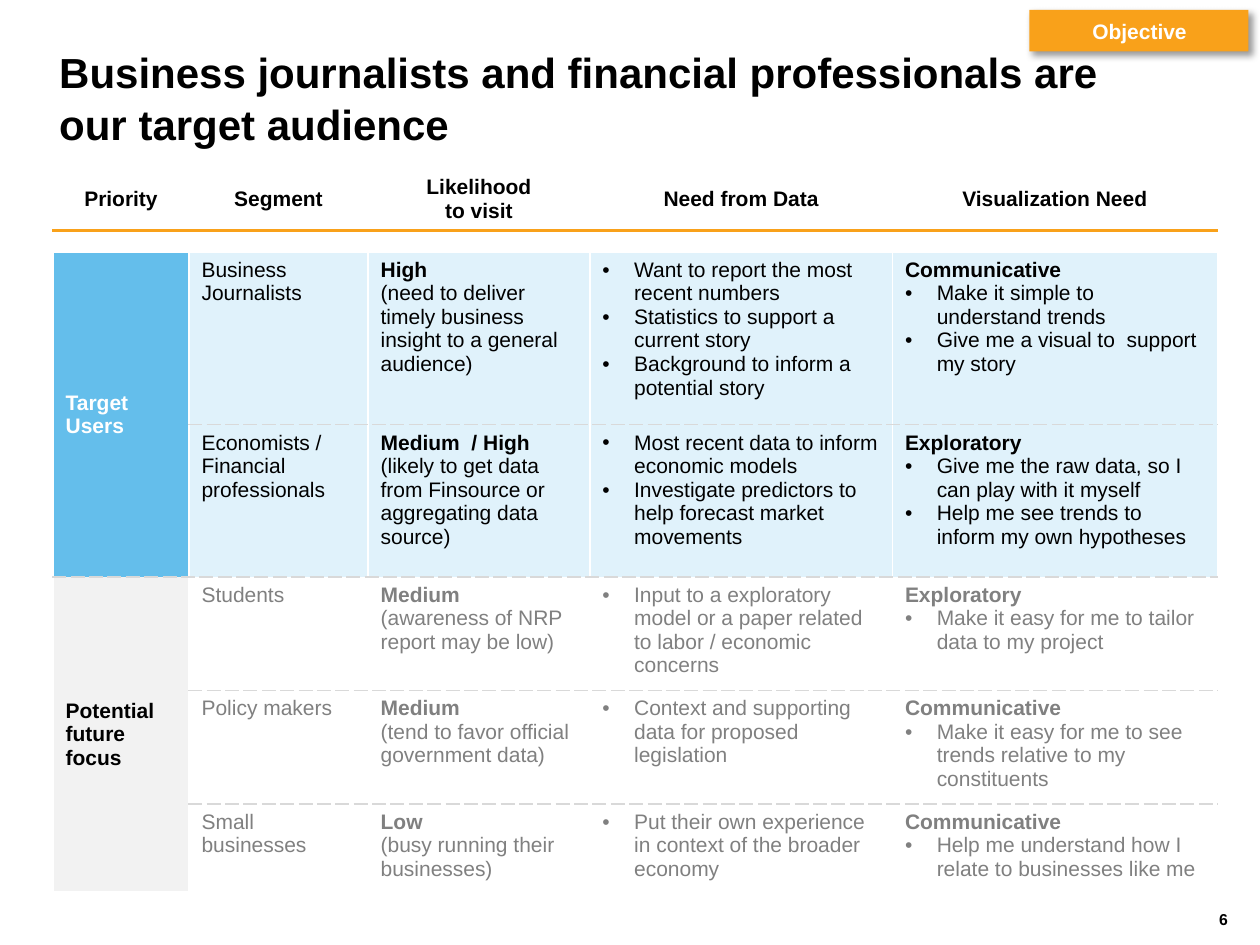
from lxml import etree
from pptx import Presentation
from pptx.dml.color import RGBColor
from pptx.enum.shapes import MSO_SHAPE
from pptx.enum.text import MSO_ANCHOR, PP_ALIGN
from pptx.oxml.ns import qn
from pptx.util import Cm, Pt

RECTANGLE = MSO_SHAPE.RECTANGLE
TOP, MIDDLE = MSO_ANCHOR.TOP, MSO_ANCHOR.MIDDLE
LEFT, CENTER = PP_ALIGN.LEFT, PP_ALIGN.CENTER

BLACK, WHITE, GRAY, ORANGE = "000000", "FFFFFF", "808080", "F9A11A"
BLUE, PALE_BLUE, PALE_GRAY = "64BEEB", "E0F2FB", "F2F2F2"
WHITE_RULE = (WHITE, 1, "solid")
ORANGE_RULE = (ORANGE, 2.25, "solid")
DASHED_RULE = ("D9D9D9", 1, "dash")
ROW_RULES = [WHITE_RULE, ORANGE_RULE, WHITE_RULE] + [DASHED_RULE] * 4 + [WHITE_RULE]

COLUMN_WIDTHS = [2.74, 3.61, 4.47, 6.1, 6.55]
ROW_HEIGHTS = [1.22, 0.43, 3.48, 3.07, 2.17, 2.15, 1.65]
FIRST_SEGMENT_ROW, TARGET_ROWS = 2, 2
HEADED_COLUMNS = (2, 4)

HEADINGS = [["Priority"], ["Segment"], ["Likelihood", "to visit"],
            ["Need from Data"], ["Visualization Need"]]
SEGMENTS = [
    [["Business Journalists"],
     ["High", "(need to deliver timely business insight to a general audience)"],
     ["•Want to report the most recent numbers",
      "•Statistics to support a current story",
      "•Background to inform a potential story"],
     ["Communicative", "•Make it simple to understand trends",
      "•Give me a visual to  support my story"]],
    [["Economists / Financial professionals"],
     ["Medium  / High", "(likely to get data from Finsource or aggregating data source)"],
     ["•Most recent data to inform economic models",
      "•Investigate predictors to help forecast market movements"],
     ["Exploratory", "•Give me the raw data, so I can play with it myself",
      "•Help me see trends to inform my own hypotheses"]],
    [["Students"],
     ["Medium", "(awareness of NRP report may be low)"],
     ["•Input to a exploratory model or a paper related to labor / economic concerns"],
     ["Exploratory", "•Make it easy for me to tailor data to my project"]],
    [["Policy makers"],
     ["Medium", "(tend to favor official government data)"],
     ["•Context and supporting data for proposed legislation"],
     ["Communicative", "•Make it easy for me to see trends relative to my constituents"]],
    [["Small businesses"],
     ["Low", "(busy running their businesses)"],
     ["•Put their own experience in context of the broader economy"],
     ["Communicative", "•Help me understand how I relate to businesses like me"]],
]


def rgb(value):
    """Turn a hex string into a colour."""
    return RGBColor.from_string(value)


def add_node(parent, tag, **attributes):
    """Append an XML child with the given attributes."""
    node = etree.SubElement(parent, qn(tag))
    for name, value in attributes.items():
        node.set(name, str(value))
    return node


def write_text(para, text, size=12, color=BLACK, bold=False, align=LEFT):
    """Write one formatted span into a paragraph."""
    para.alignment = align
    span = para.add_run()
    span.text = text
    span.font.name = "Arial"
    span.font.size = Pt(size)
    span.font.bold = bold
    span.font.color.rgb = rgb(color)


def set_indent(para, left, first=0):
    """Set the left margin and first-line indent of a paragraph."""
    properties = para._p.get_or_add_pPr()
    properties.set("marL", str(Cm(left)))
    properties.set("indent", str(Cm(first)))
    return properties


def write_lines(frame, lines, headed=False, **style):
    """Write lines as paragraphs, with bullets where marked."""
    for index, line in enumerate(lines):
        para = frame.paragraphs[0] if index == 0 else frame.add_paragraph()
        line_style = {**style, "bold": True} if headed and index == 0 else style
        write_text(para, line.lstrip("•"), **line_style)
        if line.startswith("•"):
            properties = set_indent(para, 0.64, -0.64)
            add_node(properties, "a:buFont", typeface="Arial")
            add_node(properties, "a:buChar", char="•")


def format_cell(cell, above, below, fill=None, anchor=TOP):
    """Set the fill, anchor and four borders of a cell."""
    cell.vertical_anchor = anchor
    if fill:
        cell.fill.solid()
        cell.fill.fore_color.rgb = rgb(fill)
    else:
        cell.fill.background()
    properties = cell._tc.get_or_add_tcPr()
    rules = [("a:lnL", WHITE_RULE), ("a:lnR", WHITE_RULE), ("a:lnT", above), ("a:lnB", below)]
    for position, (tag, (color, width, dash)) in enumerate(rules):
        line = add_node(properties, tag, w=Pt(width))
        add_node(add_node(line, "a:solidFill"), "a:srgbClr", val=color)
        add_node(line, "a:prstDash", val=dash)
        properties.insert(position, line)


def add_priority(table, row, count, label, fill, color):
    """Merge first-column cells into one priority label."""
    cell = table.cell(row, 0)
    cell.merge(table.cell(row + count - 1, 0))
    format_cell(cell, ROW_RULES[row], ROW_RULES[row + count], fill, MIDDLE)
    write_lines(cell.text_frame, [label], bold=True, color=color)


def add_audience_table(page):
    """Add the table of audience segments."""
    frame = page.shapes.add_table(len(ROW_HEIGHTS), len(COLUMN_WIDTHS), Cm(1.07), Cm(3.38),
                                  Cm(sum(COLUMN_WIDTHS)), Cm(sum(ROW_HEIGHTS)))
    table = frame.table
    table.first_row = table.horz_banding = False
    for column, width in zip(table.columns, COLUMN_WIDTHS):
        column.width = Cm(width)
    for row, height in zip(table.rows, ROW_HEIGHTS):
        row.height = Cm(height)

    for column, heading in enumerate(HEADINGS):
        cell = table.cell(0, column)
        format_cell(cell, *ROW_RULES[:2], anchor=MIDDLE)
        write_lines(cell.text_frame, heading, bold=True, align=CENTER)
        spacer = table.cell(1, column)
        spacer.margin_top = spacer.margin_bottom = 0
        format_cell(spacer, *ROW_RULES[1:3])
        add_node(spacer.text_frame.paragraphs[0]._p, "a:endParaRPr", sz=600)

    for index, segment in enumerate(SEGMENTS):
        row = FIRST_SEGMENT_ROW + index
        fill, color = (PALE_BLUE, BLACK) if index < TARGET_ROWS else (None, GRAY)
        for column, lines in enumerate(segment, start=1):
            cell = table.cell(row, column)
            format_cell(cell, ROW_RULES[row], ROW_RULES[row + 1], fill)
            write_lines(cell.text_frame, lines, headed=column in HEADED_COLUMNS, color=color)

    future_row = FIRST_SEGMENT_ROW + TARGET_ROWS
    add_priority(table, FIRST_SEGMENT_ROW, TARGET_ROWS, "Target Users", BLUE, WHITE)
    add_priority(table, future_row, len(SEGMENTS) - TARGET_ROWS,
                 "Potential future focus", PALE_GRAY, BLACK)


def add_title(page, text):
    """Place and fill the title placeholder."""
    title = page.shapes.title
    title.left, title.top, title.width, title.height = Cm(0.94), Cm(0.76), Cm(22.86), Cm(2.11)
    title.text_frame.vertical_anchor = TOP
    para = title.text_frame.paragraphs[0]
    para.line_spacing = 1.04
    write_text(para, text, size=24, bold=True)


def add_tag(page, text):
    """Add the shadowed section tag in the top corner."""
    box = page.shapes.add_shape(RECTANGLE, Cm(20.75), Cm(0.2), Cm(4.42), Cm(0.84))
    box.fill.solid()
    box.fill.fore_color.rgb = rgb(ORANGE)
    box.line.fill.background()
    box.shadow.inherit = False
    effects = box._element.spPr.find(qn("a:effectLst"))
    shadow = add_node(effects, "a:outerShdw", blurRad=Pt(4), dist=Pt(3),
                      dir=45 * 60000, algn="tl", rotWithShape=0)
    add_node(add_node(shadow, "a:srgbClr", val=BLACK), "a:alpha", val=40000)
    box.text_frame.vertical_anchor = MIDDLE
    para = box.text_frame.paragraphs[0]
    write_text(para, text, color=WHITE, bold=True)
    set_indent(para, 1.02)


def add_page_number(page, text):
    """Add the page number in the bottom corner."""
    box = page.shapes.add_textbox(Cm(23.93), Cm(18.21), Cm(1.47), Cm(0.64))
    box.text_frame.word_wrap = True
    write_text(box.text_frame.paragraphs[0], text, size=9, bold=True, align=CENTER)


def main():
    """Build the target audience slide."""
    deck = Presentation()
    deck.slide_width, deck.slide_height = Cm(25.4), Cm(19.05)
    page = deck.slides.add_slide(deck.slide_layouts[5])
    add_page_number(page, "6")
    add_title(page, "Business journalists and financial professionals are our target audience")
    add_audience_table(page)
    add_tag(page, "Objective")
    deck.save("out.pptx")


if __name__ == "__main__":
    main()
